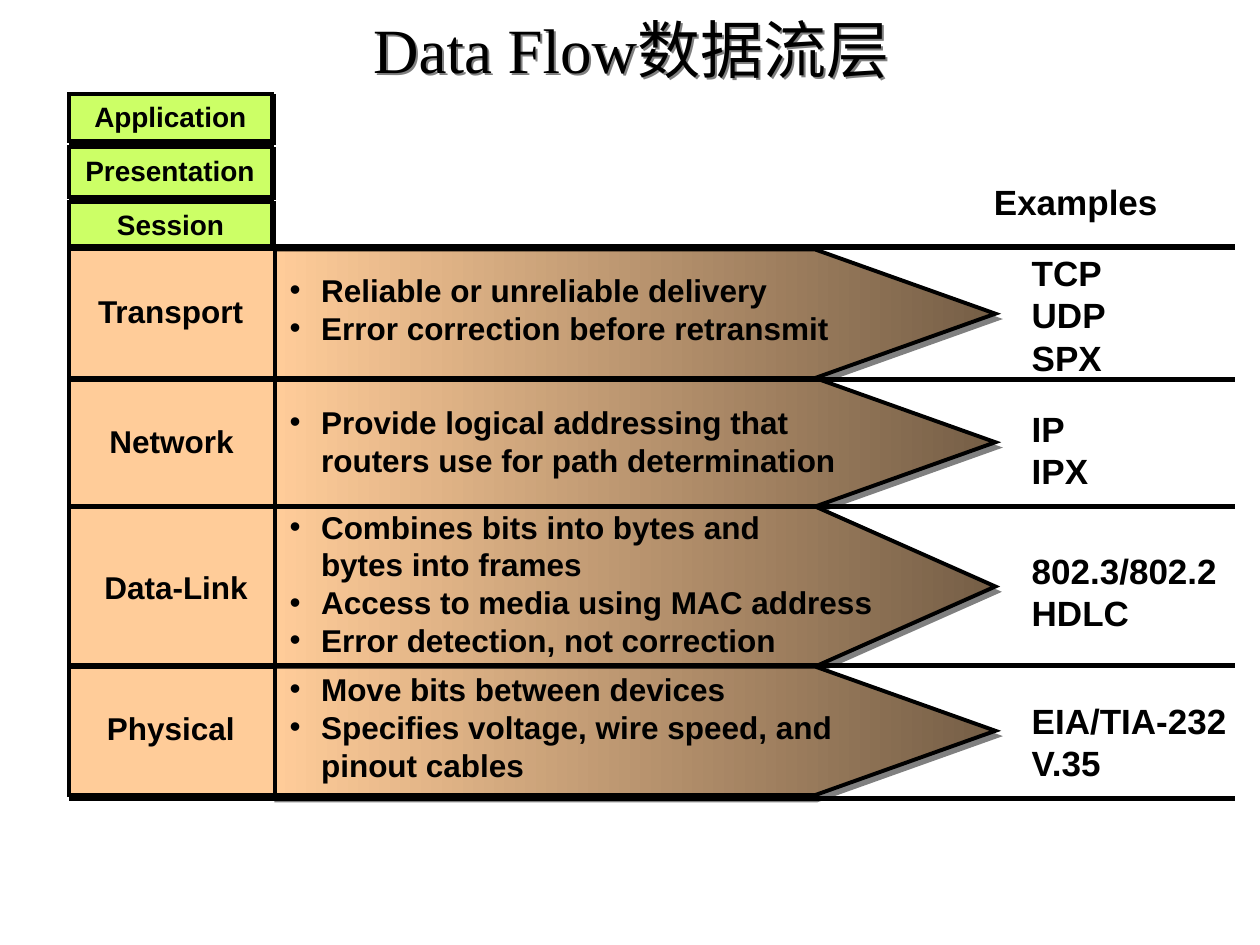
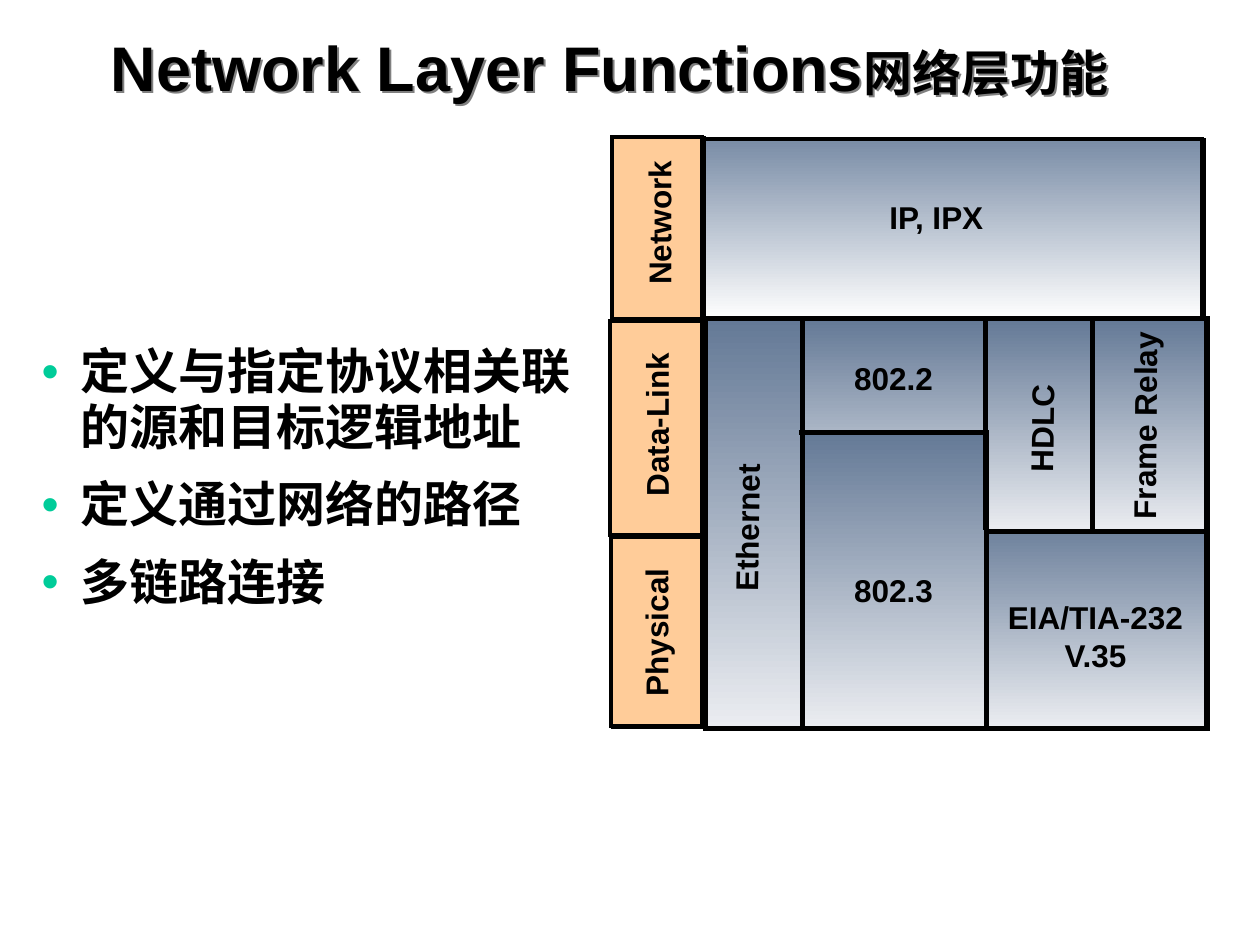
"""Builds two slides on the data flow layers and the network layer."""
from dataclasses import dataclass

from lxml import etree
from pptx import Presentation
from pptx.dml.color import RGBColor
from pptx.enum.shapes import MSO_CONNECTOR, MSO_SHAPE
from pptx.enum.text import MSO_ANCHOR, MSO_AUTO_SIZE, PP_ALIGN
from pptx.oxml.ns import qn
from pptx.util import Emu, Inches, Pt

RECTANGLE = MSO_SHAPE.RECTANGLE
STRAIGHT = MSO_CONNECTOR.STRAIGHT
TOP, MIDDLE = MSO_ANCHOR.TOP, MSO_ANCHOR.MIDDLE
NO_FIT = MSO_AUTO_SIZE.NONE
LEFT, CENTER = PP_ALIGN.LEFT, PP_ALIGN.CENTER
TITLE_AND_BODY, TITLE_ONLY = 1, 5


@dataclass(frozen=True)
class Theme:
    ink: str = "000000"
    upper: str = "CCFF66"
    layer: str = "FFCC99"
    bullet: str = "00CC99"
    arrow: tuple = ("755E46", "FFCC99", 180)
    sky: tuple = ("798CA6", "FFFFFF", 270)
    steel: tuple = ("647996", "EBEDF1", 270)
    sans: str = "Arial"
    serif: str = "Times New Roman"
    title: int = 36
    body: int = 28
    example: int = 20
    label: int = 18
    small: int = 16
    thin: float = 2.25
    thick: float = 3
    edge_shadow: tuple = ("000000", 1.4, 45)
    arrow_shadow: tuple = ("808080", 3.2, 72)
    title_shadow: tuple = ("808080", 1.6, 45)


THEME = Theme()


def add_shadow(shape, color, distance, direction):
    effects = shape._element.spPr.find(qn("a:effectLst"))
    shadow = etree.SubElement(effects, qn("a:outerShdw"), blurRad="0",
                              dist=str(Pt(distance)), dir=str(direction * 60000),
                              algn="ctr", rotWithShape="0")
    etree.SubElement(shadow, qn("a:srgbClr"), val=color)


def add_bullet(paragraph, color, margin, hang):
    properties = paragraph._p.get_or_add_pPr()
    properties.set("marL", str(Inches(margin)))
    properties.set("indent", str(-Inches(hang)))
    tint = etree.SubElement(properties, qn("a:buClr"))
    etree.SubElement(tint, qn("a:srgbClr"), val=color)
    etree.SubElement(properties, qn("a:buFont"), typeface=THEME.sans)
    etree.SubElement(properties, qn("a:buChar"), char="•")


def write(paragraph, text, size=THEME.label, font=THEME.sans, bold=True, align=LEFT):
    paragraph.alignment = align
    for number, line in enumerate(text.split("\n")):
        if number:
            paragraph.add_line_break()
        run = paragraph.add_run()
        run.text = line
        run.font.size = Pt(size)
        run.font.bold = bold
        run.font.color.rgb = RGBColor.from_string(THEME.ink)
        run.font.name = font


class Deck:
    def __init__(self, theme):
        self.theme = theme
        self.show = Presentation()
        self.show.slide_width, self.show.slide_height = Inches(10), Inches(7.5)
        self.slide = None

    def start(self, layout):
        self.slide = self.show.slides.add_slide(self.show.slide_layouts[layout])

    def place(self, holder, at, margins=(0, 0)):
        holder.left, holder.top, holder.width, holder.height = map(Inches, at)
        frame = holder.text_frame
        frame.margin_left = frame.margin_right = Inches(margins[0])
        frame.margin_top = frame.margin_bottom = Inches(margins[1])
        frame.vertical_anchor = MIDDLE
        frame.auto_size = NO_FIT
        frame.word_wrap = True
        return frame

    def title(self, at, parts, **format):
        heading = self.slide.shapes.title
        frame = self.place(heading, at, (0.09, 0.04))
        for text, size in parts:
            write(frame.paragraphs[0], text, size=size, **format)
        heading.fill.background()
        heading.shadow.inherit = False
        add_shadow(heading, *self.theme.title_shadow)

    def fill_lines(self, frame, lines, **format):
        for number, line in enumerate(lines):
            paragraph = frame.paragraphs[0] if number == 0 else frame.add_paragraph()
            write(paragraph, line, **format)

    def body(self, at, lines):
        frame = self.place(self.slide.placeholders[1], at)
        self.fill_lines(frame, lines, size=self.theme.body)
        for number, paragraph in enumerate(frame.paragraphs):
            add_bullet(paragraph, self.theme.bullet, 0.44, 0.31)
            paragraph.line_spacing = 0.95
            paragraph.space_before = Pt(12.2 if number else 0)

    def text(self, at, lines, anchor=TOP, rotation=0, bullets=False, **format):
        box = self.slide.shapes.add_textbox(*map(Inches, at))
        box.rotation = rotation
        frame = box.text_frame
        frame.word_wrap = True
        frame.auto_size = NO_FIT
        frame.margin_right = 0
        frame.vertical_anchor = anchor
        self.fill_lines(frame, lines, **format)
        if bullets:
            for paragraph in frame.paragraphs:
                add_bullet(paragraph, self.theme.ink, 0.25, 0.25)

    def paint(self, shape, fill, width, shadow):
        if isinstance(fill, tuple):
            *colors, angle = fill
            shape.fill.gradient()
            shape.fill.gradient_angle = angle
            for stop, color in zip(shape.fill.gradient_stops, colors):
                stop.color.rgb = RGBColor.from_string(color)
        else:
            shape.fill.solid()
            shape.fill.fore_color.rgb = RGBColor.from_string(fill)
        shape.line.color.rgb = RGBColor.from_string(self.theme.ink)
        shape.line.width = Pt(width)
        outline = shape._element.spPr.find(qn("a:ln"))
        etree.SubElement(outline, qn("a:miter"), lim="800000")
        shape.shadow.inherit = False
        if shadow:
            add_shadow(shape, *shadow)

    def block(self, at, fill, width=THEME.thin, shadow=None, rotation=0):
        block = self.slide.shapes.add_shape(RECTANGLE, *map(Inches, at))
        block.rotation = rotation
        self.paint(block, fill, width, shadow)

    def arrow(self, left, top, shoulder, tip, height):
        bottom = top + height
        outline = [(shoulder, top), (tip, top + height / 2),
                   (shoulder, bottom), (left, bottom)]
        builder = self.slide.shapes.build_freeform(Inches(left), Inches(top))
        builder.add_line_segments([(Inches(x), Inches(y)) for x, y in outline])
        self.paint(builder.convert_to_shape(Emu(0), Emu(0)), self.theme.arrow,
                   self.theme.thin, self.theme.arrow_shadow)

    def rule(self, x1, y1, x2, y2):
        rule = self.slide.shapes.add_connector(STRAIGHT, *map(Inches, (x1, y1, x2, y2)))
        rule.line.color.rgb = RGBColor.from_string(self.theme.ink)
        rule.line.width = Pt(self.theme.thick)
        etree.SubElement(rule._element.spPr, qn("a:effectLst"))


def data_flow(deck):
    theme = deck.theme
    deck.start(TITLE_ONLY)
    deck.title((0.84, 0.09, 8.34, 0.59), [("Data Flow数据流层", theme.title)],
               font=theme.serif, bold=False, align=CENTER)

    upper_layers = [
        ("Application", 0.75, 0.37, 0.65, 0.74, 1.4),
        ("Presentation", 1.17, 0.39, 0.58, 1.17, 1.54),
        ("Session", 1.6, 0.35, 0.83, 1.6, 1.05),
    ]
    for name, top, height, name_left, name_top, name_width in upper_layers:
        deck.block((0.55, top, 1.61, height), theme.upper, shadow=theme.edge_shadow)
        deck.text((name_left, name_top, name_width, 0.37), [name], size=theme.small)

    deck.text((7.79, 1.38, 1.97, 0.44), ["Examples"], anchor=MIDDLE,
              size=theme.example)

    layers = [
        ("Transport", 1.98, 1.02, (0.68, 2.27, 1.43, 0.4), (2.2, 2.1, 4.53, 0.7),
         ["Reliable or unreliable delivery", "Error correction before retransmit"],
         (1.95, 1.1), ["TCP", "UDP", "SPX"]),
        ("Network", 3, 1.02, (0.77, 3.3, 1.25, 0.4), (2.2, 3.15, 4.68, 0.7),
         ["Provide logical addressing that routers use for path determination"],
         (3.18, 0.77), ["IP", "IPX"]),
        ("Data-Link", 4.02, 1.27, (0.73, 4.46, 1.34, 0.4), (2.2, 3.98, 4.83, 1.3),
         ["Combines bits into bytes and\nbytes into frames",
          "Access to media using MAC address", "Error detection, not correction"],
         (4.31, 0.77), ["802.3/802.2", "HDLC"]),
        ("Physical", 5.29, 1.02, (0.75, 5.58, 1.28, 0.4), (2.2, 5.27, 4.98, 1),
         ["Move bits between devices",
          "Specifies voltage, wire speed, and\npinout cables"],
         (5.5, 0.77), ["EIA/TIA-232\nV.35"]),
    ]
    for _, top, height, *_ in layers:
        deck.arrow(2.18, top, 6.47, 7.9, height)
    for name, top, height, name_at, duties_at, duties, span, examples in layers:
        deck.block((0.55, top, 1.63, height), theme.layer)
        deck.text(name_at, [name])
        deck.text(duties_at, duties, bullets=True)
        deck.text((8.09, span[0], 1.83, span[1]), examples, anchor=MIDDLE,
                  size=theme.example)
    for y in (1.96, 3.01, 4.02, 5.28, 6.34):
        deck.rule(0.55, y, 9.8, y)


def network_functions(deck):
    theme = deck.theme
    deck.start(TITLE_AND_BODY)
    deck.title((0.79, 0.09, 8.79, 0.88),
               [("Network Layer Functions", theme.title), ("网络层功能", theme.body)])
    deck.body((0.2, 2.71, 4.42, 2.17),
              ["定义与指定协议相关联的源和目标逻辑地址", "定义通过网络的路径", "多链路连接"])

    deck.block((5.55, 1.1, 3.99, 1.44), theme.sky, shadow=theme.edge_shadow)
    layers = [
        ("Network", (4.49, 1.45, 1.45, 0.72), (4.64, 1.57, 1.18, 0.4)),
        ("Data-Link", (4.36, 3.03, 1.7, 0.73), (4.54, 3.17, 1.34, 0.4)),
        ("Physical", (4.46, 4.65, 1.5, 0.72), (4.6, 4.82, 1.21, 0.4)),
    ]
    for name, at, name_at in layers:
        deck.block(at, theme.layer, shadow=theme.edge_shadow, rotation=270)
        deck.text(name_at, [name], rotation=270)

    protocol_areas = [(6.37, 4.08, 3.21, 1.7), (5.6, 2.53, 0.77, 3.25),
                      (6.37, 2.53, 3.21, 1.69), (6.37, 3.43, 1.46, 2.35)]
    for area in protocol_areas:
        deck.block(area, theme.steel, width=theme.thick)
    for divider in [(8.67, 2.55, 8.67, 4.23), (6.34, 3.43, 7.82, 3.43),
                    (7.82, 2.52, 7.82, 4.21)]:
        deck.rule(*divider)

    protocols = [
        ("IP, IPX", (6.96, 1.52, 0.98, 0.4), 0),
        ("802.2", (6.68, 2.8, 0.82, 0.4), 0),
        ("802.3", (6.68, 4.48, 0.82, 0.4), 0),
        ("Ethernet", (5.32, 3.99, 1.21, 0.4), 270.8),
        ("HDLC", (7.82, 3.2, 0.89, 0.4), 270.8),
        ("Frame Relay", (8.24, 3.18, 1.68, 0.4), 270.3),
    ]
    for name, at, rotation in protocols:
        deck.text(at, [name], rotation=rotation)
    deck.text((7.8, 4.7, 1.69, 0.7), ["EIA/TIA-232", "V.35"], anchor=MIDDLE,
              align=CENTER)


def main():
    deck = Deck(THEME)
    data_flow(deck)
    network_functions(deck)
    deck.show.save("out.pptx")


if __name__ == "__main__":
    main()
